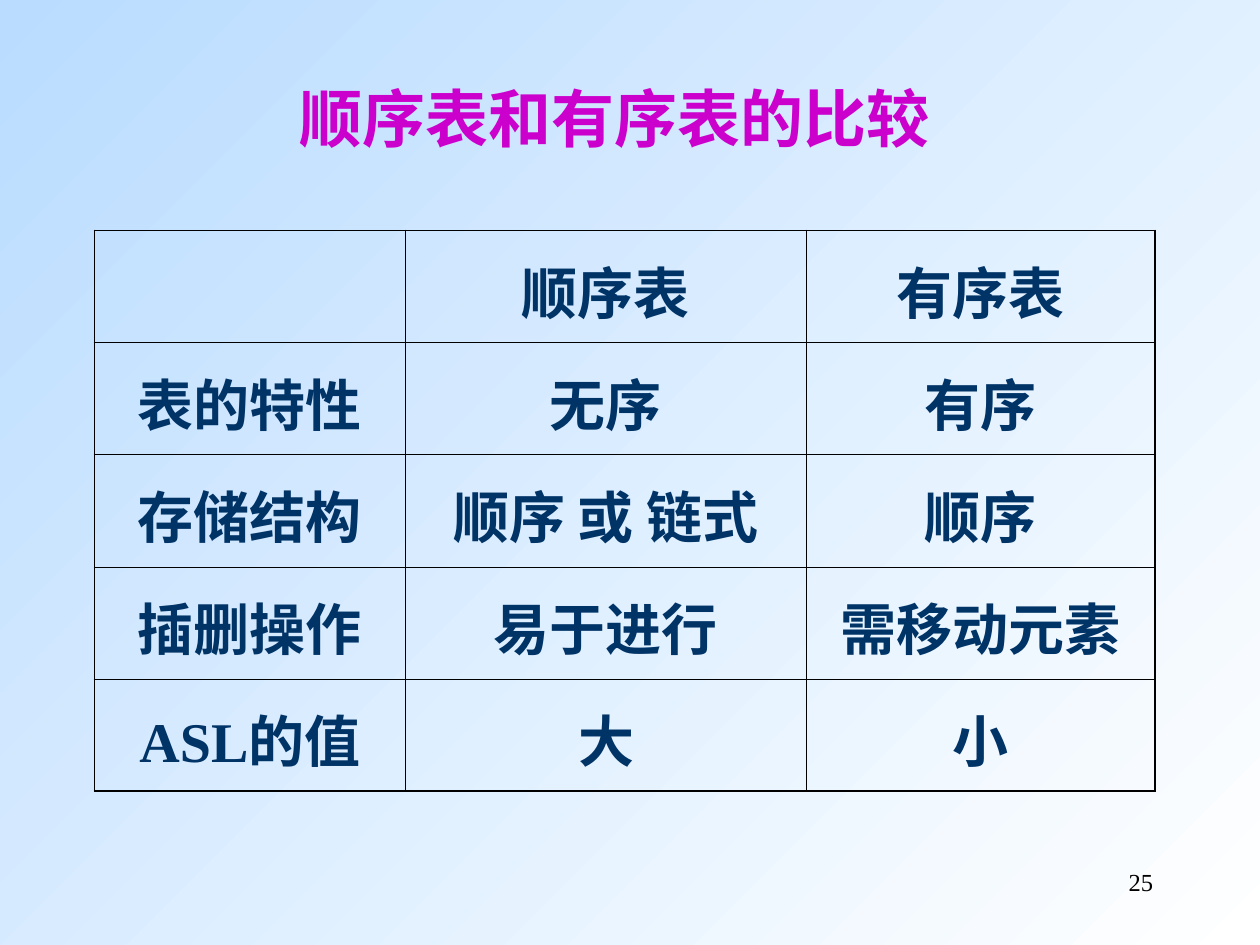
from lxml import etree
from pptx import Presentation
from pptx.dml.color import RGBColor
from pptx.enum.text import PP_ALIGN
from pptx.oxml.ns import qn
from pptx.util import Inches, Pt

CENTER, RIGHT = PP_ALIGN.CENTER, PP_ALIGN.RIGHT
FONT = "Times New Roman"
COLORS = {
    "sky": "B9DCFF",
    "white": "FFFFFF",
    "title": "CC00CC",
    "cell": "003366",
    "black": "000000",
}
OUTER_LINE, INNER_LINE = Pt(1.08), Pt(0.45)


def write_text(text_frame, text, size, color, alignment, bold=True):
    text_frame.text = text
    paragraph = text_frame.paragraphs[0]
    paragraph.alignment = alignment
    for run in paragraph.runs:
        run.font.name = FONT
        run.font.size = Pt(size)
        run.font.bold = bold
        run.font.color.rgb = RGBColor.from_string(COLORS[color])


def add_border(cell, side, width):
    """Draw one cell border; side is L, R, T or B."""
    properties = cell._tc.get_or_add_tcPr()
    line = etree.SubElement(properties, qn(f"a:ln{side}"), w=str(int(width)))
    fill = etree.SubElement(line, qn("a:solidFill"))
    etree.SubElement(fill, qn("a:srgbClr"), val=COLORS["black"])


presentation = Presentation()
presentation.slide_width = Inches(10)
presentation.slide_height = Inches(7.5)
slide = presentation.slides.add_slide(presentation.slide_layouts[6])

# Background: light blue at top left to white at bottom right
background = slide.background.fill
background.gradient()
background.gradient_angle = 315
for stop, position, color in zip(background.gradient_stops, (0, 1), ("sky", "white")):
    stop.position = position
    stop.color.rgb = RGBColor.from_string(COLORS[color])

# Comparison table
rows = [
    ("", "顺序表", "有序表"),
    ("表的特性", "无序", "有序"),
    ("存储结构", "顺序 或 链式", "顺序"),
    ("插删操作", "易于进行", "需移动元素"),
    ("ASL的值", "大", "小"),
]
column_widths = (2.47, 3.18, 2.77)
row_height = 0.89
last_row, last_column = len(rows) - 1, len(column_widths) - 1

table = slide.shapes.add_table(
    len(rows), len(column_widths), Inches(0.75), Inches(1.83),
    Inches(sum(column_widths)), Inches(row_height * len(rows)),
).table
table.first_row = False
table.horz_banding = False
for column, width in zip(table.columns, column_widths):
    column.width = Inches(width)

for row_index, texts in enumerate(rows):
    table.rows[row_index].height = Inches(row_height)
    for column_index, text in enumerate(texts):
        cell = table.cell(row_index, column_index)
        cell.margin_top = Inches(0.15)
        write_text(cell.text_frame, text, 32, "cell", CENTER)
        outer_sides = {
            "L": column_index == 0,
            "R": column_index == last_column,
            "T": row_index == 0,
            "B": row_index == last_row,
        }
        for side, is_outer in outer_sides.items():
            add_border(cell, side, OUTER_LINE if is_outer else INNER_LINE)
        cell.fill.background()

# Title and page number
text_boxes = [
    ((2.25, 0.58, 5.25, 0.7), "顺序表和有序表的比较", 36, "title", CENTER, True),
    ((7.17, 6.83, 2.08, 0.5), "25", 14, "black", RIGHT, False),
]
for place, text, size, color, alignment, bold in text_boxes:
    text_box = slide.shapes.add_textbox(*(Inches(value) for value in place))
    text_box.text_frame.word_wrap = True
    write_text(text_box.text_frame, text, size, color, alignment, bold)

presentation.save("out.pptx")
